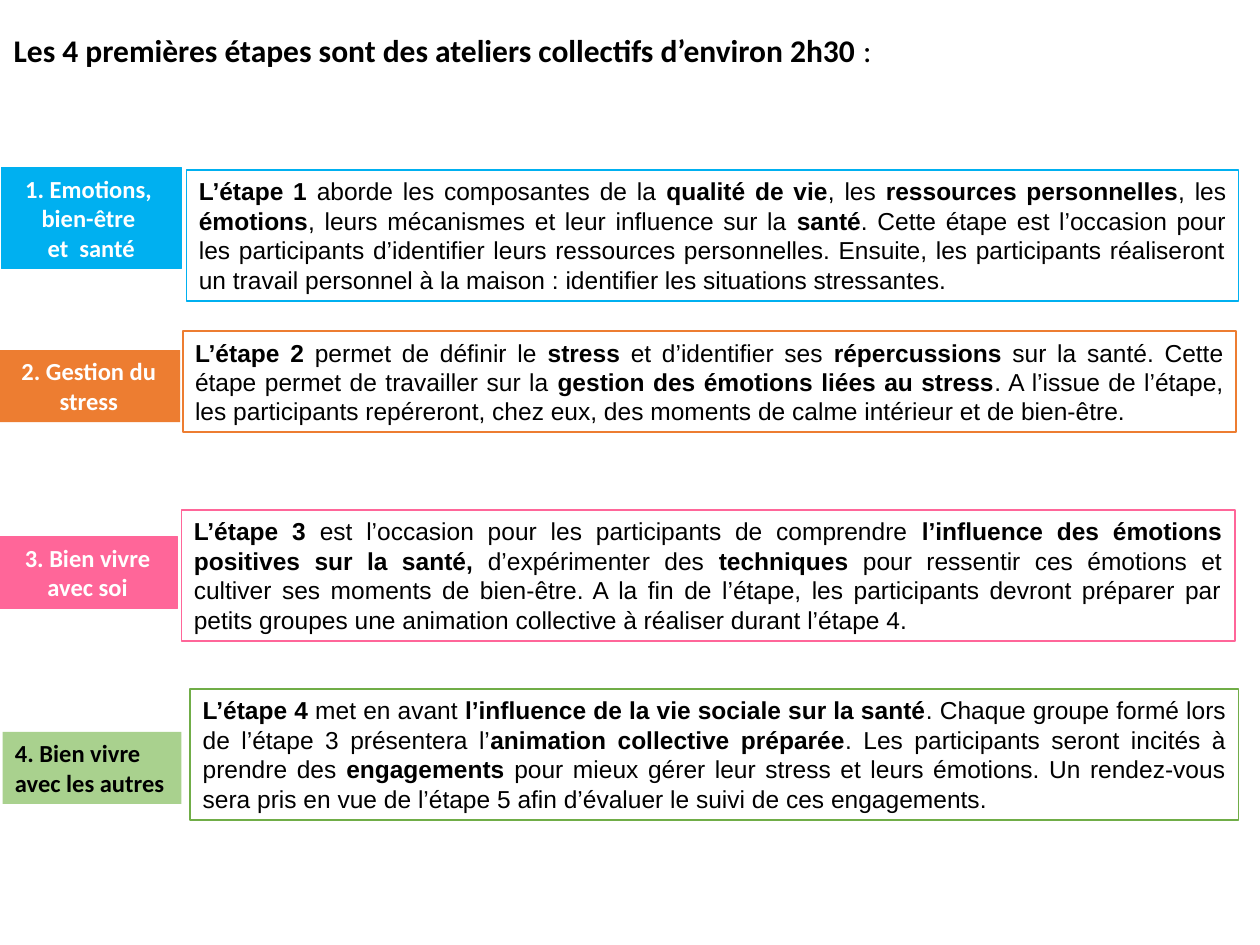
"""Builds the slide on the first four workshop steps."""
from pptx import Presentation
from pptx.dml.color import RGBColor
from pptx.enum.shapes import MSO_SHAPE
from pptx.enum.text import MSO_ANCHOR, PP_ALIGN
from pptx.util import Pt

RECT = MSO_SHAPE.RECTANGLE
TOP = MSO_ANCHOR.TOP
LEFT, CENTER, JUSTIFY = PP_ALIGN.LEFT, PP_ALIGN.CENTER, PP_ALIGN.JUSTIFY

COLORS = {
    "white": "FFFFFF", "black": "000000", "blue": "00B0F0", "orange": "ED7D31",
    "pink": "FF6699", "light_green": "A9D18E", "green": "70AD47",
}


def add_box(s, box, fill, line, line_width):
    sp = s.shapes.add_shape(RECT, *[Pt(v) for v in box])
    sp.shadow.inherit = False
    sp.fill.solid()
    sp.fill.fore_color.rgb = RGBColor.from_string(COLORS[fill])
    if line:
        sp.line.color.rgb = RGBColor.from_string(COLORS[line])
        sp.line.width = Pt(line_width)
    else:
        sp.line.fill.background()
    return sp


def write(sp, text, align, color, font):
    tf = sp.text_frame
    tf.word_wrap = True
    tf.vertical_anchor = TOP
    for i, line in enumerate(text.split("\n")):
        p = tf.add_paragraph() if i else tf.paragraphs[0]
        p.alignment = align
        for j, part in enumerate(line.split("**")):
            if part:
                r = p.add_run()
                r.text = part
                r.font.color.rgb = RGBColor.from_string(COLORS[color])
                for name, value in {**font, "bold": j % 2 == 1}.items():
                    setattr(r.font, name, value)


TITLE = {"name": "Calibri", "size": Pt(18)}
LABEL = {"name": "Calibri", "size": Pt(14)}
BODY = {"name": "Arial", "size": Pt(14)}

STEPS = [
    {
        "label": "**1. Emotions, **\n**bien-être **\n**et  santé**",
        "label_box": (0.72, 95.76, 102.96, 57.6),
        "label_style": ("blue", "blue", CENTER, "white"),
        "body_box": (106.56, 97.2, 601.2, 74.88),
        "border": "blue",
        "body": "**L’étape 1 **aborde les composantes de la **qualité de vie**, les "
                "**ressources personnelles**, les **émotions**, leurs mécanismes et leur "
                "influence sur la **santé**. Cette étape est l’occasion pour les participants "
                "d’identifier leurs ressources personnelles. Ensuite, les participants "
                "réaliseront un travail personnel à la maison : identifier les situations "
                "stressantes.",
    },
    {
        "label": "**2. Gestion du stress**",
        "label_box": (-1.44, 200.16, 104.4, 41.04),
        "label_style": ("orange", None, CENTER, "white"),
        "body_box": (104.4, 189.36, 601.92, 57.6),
        "border": "orange",
        "body": "**L’étape 2 **permet de définir le **stress** et d’identifier ses "
                "**répercussions** sur la santé. Cette étape permet de travailler sur la "
                "**gestion des émotions liées au stress**. A l’issue de l’étape, les "
                "participants repéreront, chez eux, des moments de calme intérieur et de "
                "bien-être.",
    },
    {
        "label": "**3. Bien vivre avec soi**",
        "label_box": (-1.44, 306.72, 102.96, 41.04),
        "label_style": ("pink", "pink", CENTER, "white"),
        "body_box": (103.68, 291.6, 601.92, 74.88),
        "border": "pink",
        "body": "**L’étape 3 **est l’occasion pour les participants de comprendre "
                "**l’influence des émotions positives sur la santé, **d’expérimenter des "
                "**techniques** pour ressentir ces émotions et cultiver ses moments de "
                "bien-être. A la fin de l’étape, les participants devront préparer par petits "
                "groupes une animation collective à réaliser durant l’étape 4.",
    },
    {
        "label": "**4. Bien vivre avec les autres**",
        "label_box": (1.44, 418.32, 102.24, 41.04),
        "label_style": ("light_green", None, LEFT, "black"),
        "body_box": (108.72, 393.84, 599.04, 74.88),
        "border": "green",
        "body": "**L’étape 4 **met en avant **l’influence de la vie sociale sur la santé**. "
                "Chaque groupe formé lors de l’étape 3 présentera l’**animation collective "
                "préparée**. Les participants seront incités à prendre des **engagements** "
                "pour mieux gérer leur stress et leurs émotions. Un rendez-vous sera pris en "
                "vue de l’étape 5 afin d’évaluer le suivi de ces engagements.",
    },
]

prs = Presentation()
prs.slide_width, prs.slide_height = Pt(720), Pt(540)
s = prs.slides.add_slide(prs.slide_layouts[6])

title = s.shapes.add_textbox(Pt(0.72), Pt(14.4), Pt(663.12), Pt(28.8))
write(title, "**Les 4 premières étapes sont des ateliers collectifs d’environ 2h30 **:",
      LEFT, "black", TITLE)

for step in STEPS:
    fill, line, align, color = step["label_style"]
    body = add_box(s, step["body_box"], "white", step["border"], 1)
    write(body, step["body"], JUSTIFY, "black", BODY)
    label = add_box(s, step["label_box"], fill, line, 0.75)
    write(label, step["label"], align, color, LABEL)

prs.save("out.pptx")
